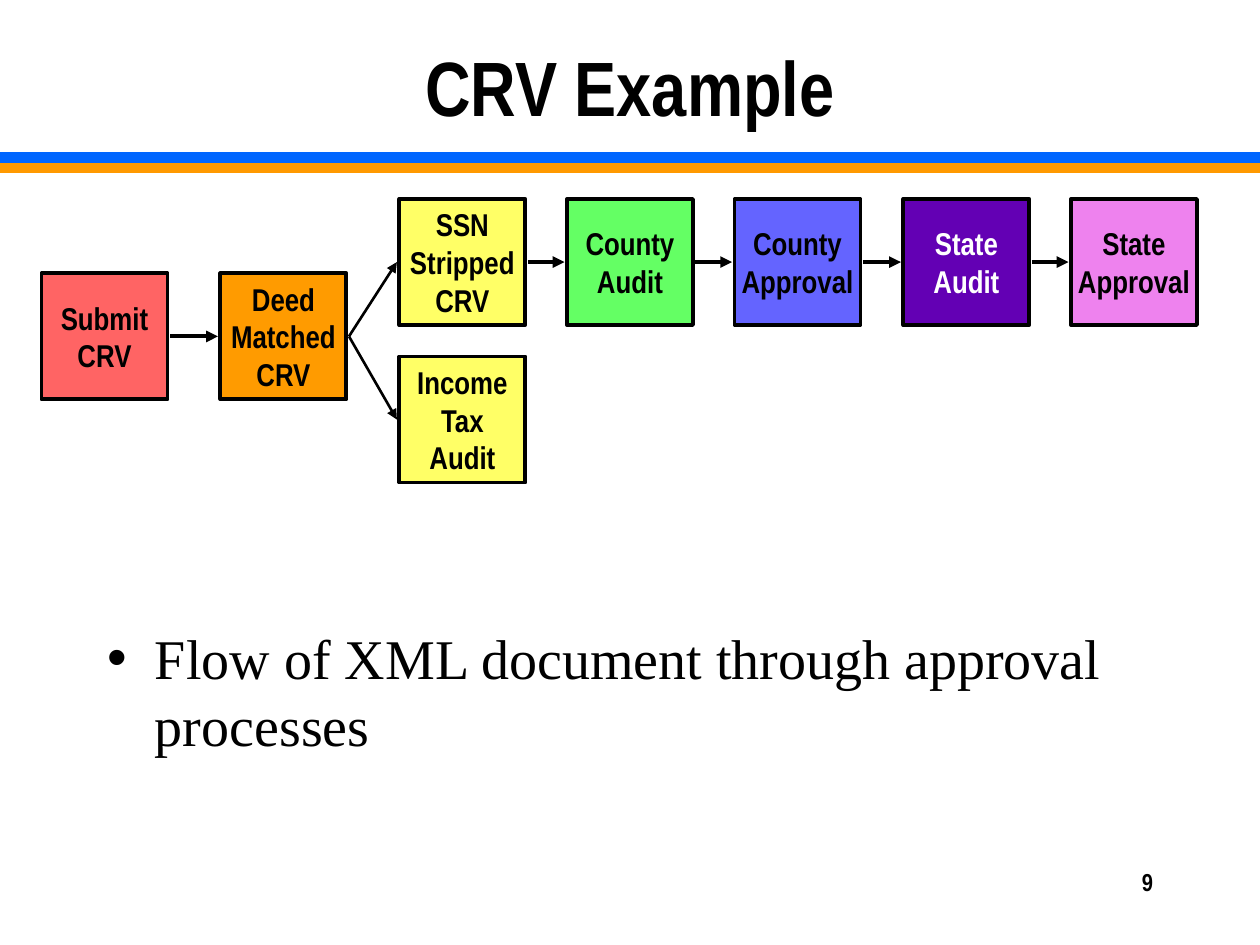
from lxml import etree
from pptx import Presentation
from pptx.dml.color import RGBColor
from pptx.enum import shapes, text
from pptx.oxml.ns import qn
from pptx.util import Inches, Pt

TITLE = "CRV Example"
BULLET = "Flow of XML document through approval processes"
PAGE_NUMBER = "9"
NARROW, SERIF = "Arial Narrow", "Times New Roman"
BLACK, WHITE = "000000", "FFFFFF"

SIZE, GAP = 1, 0.02
MIDDLE, UPPER, LOWER = 2.17, 1.58, 2.83
# label, left, top, fill, text colour
STEPS = {
    "submit": ("Submit\nCRV", 0.33, MIDDLE, "FF6464", BLACK),
    "deed": ("Deed\nMatched\nCRV", 1.75, MIDDLE, "FF9B00", BLACK),
    "stripped": ("SSN\nStripped\nCRV", 3.17, UPPER, "FFFF66", BLACK),
    "income tax": ("Income\nTax\nAudit", 3.17, LOWER, "FFFF66", BLACK),
    "county audit": ("County\nAudit", 4.5, UPPER, "64FF64", BLACK),
    "county approval": ("County\nApproval", 5.83, UPPER, "6464FF", BLACK),
    "state audit": ("State\nAudit", 7.17, UPPER, "6300B4", WHITE),
    "state approval": ("State\nApproval", 8.5, UPPER, "EE82EE", BLACK),
}
FLOWS = [
    ("submit", "deed", 2.25),
    ("deed", "stripped", 1.5),
    ("deed", "income tax", 1.5),
    ("stripped", "county audit", 2.25),
    ("county audit", "county approval", 2.25),
    ("county approval", "state audit", 2.25),
    ("state audit", "state approval", 2.25),
]
STRIPES = [(1.33, "FF9900"), (1.25, "0066FF")]


def rgb(value):
    return RGBColor.from_string(value)


def write(shape, words, size, align, font=NARROW, color=BLACK, bold=True):
    frame = shape.text_frame
    frame.text = words
    for para in frame.paragraphs:
        para.alignment = align
        for span in para.runs:
            span.font.name, span.font.size, span.font.bold = font, Pt(size), bold
            span.font.color.rgb = rgb(color)
    return frame


def place(shape, left, top, width, height):
    shape.left, shape.top = Inches(left), Inches(top)
    shape.width, shape.height = Inches(width), Inches(height)


def add_step(page, label, left, top, fill, color):
    """Add an outlined square with a centred label."""
    box = page.shapes.add_shape(
        shapes.MSO_SHAPE.RECTANGLE, *map(Inches, (left, top, SIZE, SIZE)))
    box.shadow.inherit = False
    box.fill.solid()
    box.fill.fore_color.rgb = rgb(fill)
    box.line.color.rgb = rgb(BLACK)
    box.line.width = Pt(2.25)
    frame = write(box, label, 18, text.PP_ALIGN.CENTER, color=color)
    frame.word_wrap = False
    frame.vertical_anchor = text.MSO_ANCHOR.MIDDLE


def add_line(page, start, end, width, color=BLACK, arrow=True):
    line = page.shapes.add_connector(
        shapes.MSO_CONNECTOR.STRAIGHT, *map(Inches, (*start, *end)))
    line.line.color.rgb = rgb(color)
    line.line.width = Pt(width)
    if arrow:
        outline = line._element.spPr.find(qn("a:ln"))
        etree.SubElement(outline, qn("a:tailEnd"), type="triangle")
    etree.SubElement(line._element.spPr, qn("a:effectLst"))


def add_bullet(para, indent):
    props = para._p.get_or_add_pPr()
    props.set("marL", str(Inches(indent)))
    props.set("indent", str(-Inches(indent)))
    etree.SubElement(props, qn("a:buChar"), char="•")


def main():
    deck = Presentation()
    deck.slide_width, deck.slide_height = Inches(10), Inches(7.5)
    page = deck.slides.add_slide(deck.slide_layouts[1])

    for y, color in STRIPES:
        add_line(page, (0, y), (10, y), 6, color, arrow=False)

    title, body = page.shapes.title, page.placeholders[1]
    place(title, 0.75, 0.12, 8.5, 1.12)
    frame = write(title, TITLE, 44, text.PP_ALIGN.CENTER)
    frame.vertical_anchor = text.MSO_ANCHOR.MIDDLE

    place(body, 0.75, 4.9, 8.5, 1.73)
    frame = write(body, BULLET, 32, text.PP_ALIGN.LEFT, SERIF, bold=False)
    frame.paragraphs[0].space_before = Pt(8)
    add_bullet(frame.paragraphs[0], 0.38)

    for step in STEPS.values():
        add_step(page, *step)
    for source, target, width in FLOWS:
        _, source_left, source_top, *_ = STEPS[source]
        _, target_left, target_top, *_ = STEPS[target]
        add_line(page, (source_left + SIZE + GAP, source_top + SIZE / 2),
                 (target_left - GAP, target_top + SIZE / 2), width)

    number = page.shapes.add_textbox(
        Inches(7.17), Inches(6.83), Inches(2.08), Inches(0.5))
    write(number, PAGE_NUMBER, 14, text.PP_ALIGN.RIGHT).word_wrap = True

    deck.save("out.pptx")


if __name__ == "__main__":
    main()
